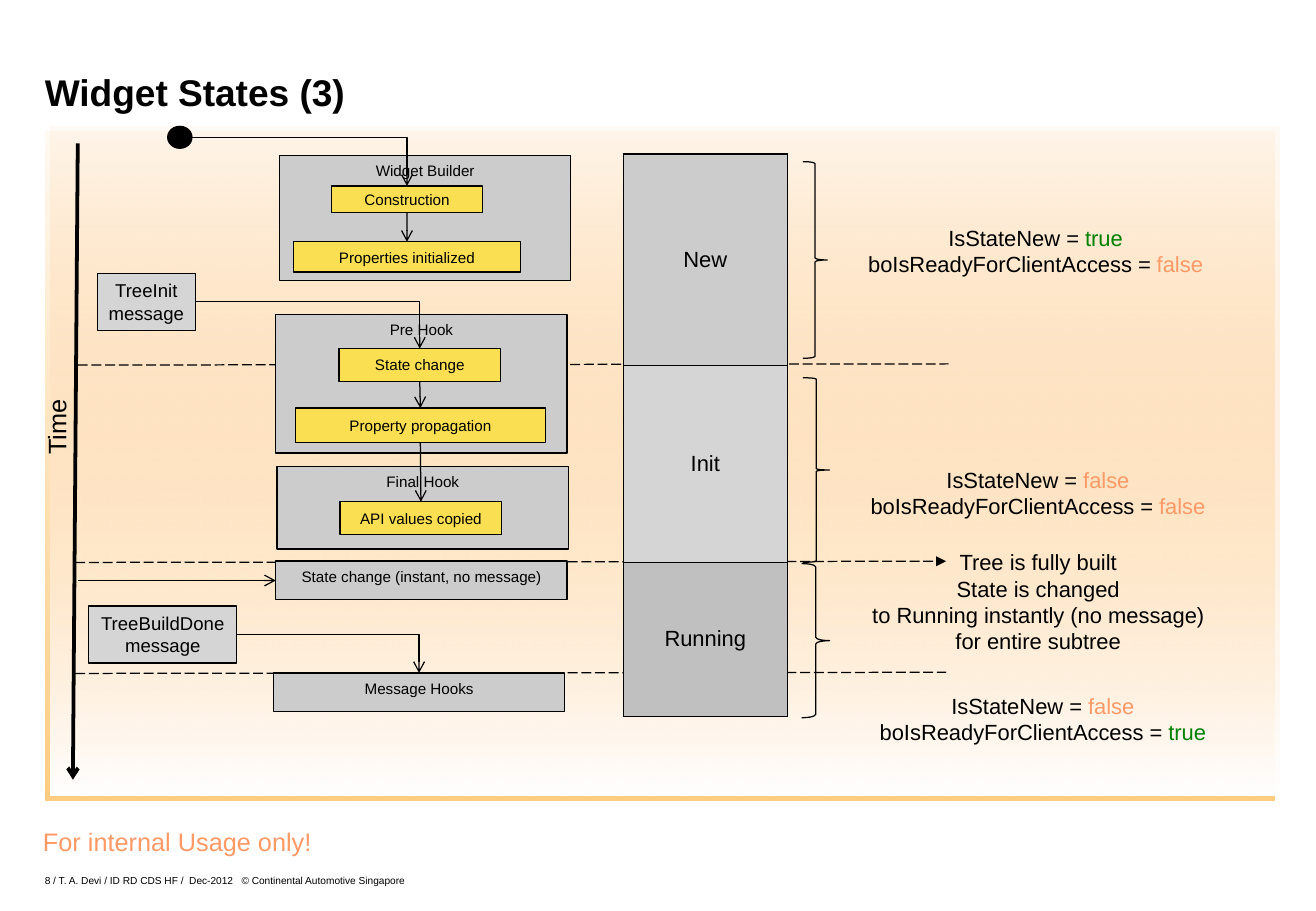
from lxml import etree
from pptx import Presentation
from pptx.dml.color import RGBColor
from pptx.enum.dml import MSO_LINE
from pptx.enum.shapes import MSO_CONNECTOR as LINK, MSO_SHAPE as SHAPE
from pptx.enum.text import MSO_ANCHOR as ANCHOR, PP_ALIGN as ALIGN
from pptx.oxml.ns import qn
from pptx.util import Pt

BLACK = RGBColor(0x00, 0x00, 0x00)
WHITE = RGBColor(0xFF, 0xFF, 0xFF)
GRAY = RGBColor(0xCC, 0xCC, 0xCC)
LIGHT = RGBColor(0xD5, 0xD5, 0xD5)
DARK = RGBColor(0xC0, 0xC0, 0xC0)
YELLOW = RGBColor(0xFB, 0xDF, 0x53)
PEACH = RGBColor(0xFF, 0xCC, 0x99)
ORANGE = RGBColor(0xFF, 0x99, 0x66)
GREEN = RGBColor(0x00, 0x80, 0x00)

deck = Presentation()
deck.slide_width, deck.slide_height = Pt(780), Pt(540)
slide = deck.slides.add_slide(deck.slide_layouts[6])
shapes = slide.shapes


def write(frame, text, size, color=BLACK, align=ALIGN.CENTER,
          anchor=ANCHOR.TOP, wrap=False):
    frame.text = text
    frame.word_wrap = wrap
    frame.vertical_anchor = anchor
    for para in frame.paragraphs:
        para.alignment = align
        for run in para.runs:
            run.font.name, run.font.size = "Arial", Pt(size)
            run.font.color.rgb = color


def link(start, end, head="arrow", kind=LINK.STRAIGHT, width=0.75, dash=None):
    line = shapes.add_connector(kind, *map(Pt, start + end))
    line.line.color.rgb = BLACK
    line.line.width = Pt(width)
    if dash:
        line.line.dash_style = dash
    props = line._element.spPr
    if head:
        etree.SubElement(props.find(qn("a:ln")), qn("a:tailEnd"), type=head)
    etree.SubElement(props, qn("a:effectLst"))
    if kind == LINK.ELBOW:
        props.find(qn("a:prstGeom")).set("prst", "bentConnector2")
    return line


# Fading panel with an orange edge
panel = shapes.add_shape(SHAPE.RECTANGLE, Pt(30.2), Pt(74.9), Pt(728), Pt(396.7))
panel.line.fill.background()
panel.fill.gradient()
panel.fill.gradient_angle = 270
for stop, color in zip(panel.fill.gradient_stops, (PEACH, WHITE)):
    stop.color.rgb = color
props = panel._element.spPr
first = props.xpath(".//a:gs/a:srgbClr")[0]
etree.SubElement(first, qn("a:alpha"), val="10000")
effect = etree.SubElement(props, qn("a:effectLst"))
shade = etree.SubElement(effect, qn("a:outerShdw"), dist="53340",
                         dir="8100000", algn="ctr", rotWithShape="0")
tint = etree.SubElement(shade, qn("a:srgbClr"), val="FF9900")
etree.SubElement(tint, qn("a:alpha"), val="50000")

# Dashed state borders
for x, y, head in ((44.6, 333.4, "triangle"), (46.1, 216.4, None), (44.6, 399.2, None)):
    link((x, y), (x + 516.2, y - 0.7), head, dash=MSO_LINE.LONG_DASH)

# Title, usage note and footer
title = shapes.add_textbox(Pt(26.6), Pt(18), Pt(727.2), Pt(49.7))
write(title.text_frame, "Widget States (3)", 22, align=ALIGN.LEFT,
      anchor=ANCHOR.BOTTOM, wrap=True)
title.text_frame.paragraphs[0].runs[0].font.bold = True
foot = shapes.add_textbox(Pt(26.6), Pt(514.1), Pt(247), Pt(11.5))
write(foot.text_frame,
      "8 / T. A. Devi / ID RD CDS HF /  Dec-2012   © Continental Automotive Singapore",
      6, align=ALIGN.LEFT, anchor=ANCHOR.BOTTOM, wrap=True)
for box, gap in ((title, 24.8), (foot, 5.5)):
    frame = box.text_frame
    frame.margin_left = frame.margin_right = frame.margin_top = frame.margin_bottom = 0
    frame.paragraphs[0].line_spacing = Pt(gap)
note = shapes.add_textbox(Pt(18), Pt(486), Pt(174.2), Pt(25.2))
write(note.text_frame, "For internal Usage only!", 15, ORANGE)

# Time axis
link((46.1, 85), (43.2, 462.2), width=2.25)
time = shapes.add_textbox(Pt(20.9), Pt(233.3), Pt(31.7), Pt(39.6))
write(time.text_frame, "Time", 15)
time.text_frame._txBody.bodyPr.set("vert", "vert270")

# Stages, steps and messages
boxes = {}
for text, x, y, w, h, fill, size in (
    ("Widget Builder", 165.6, 92.2, 172.8, 74.2, GRAY, 9),
    ("Pre Hook", 163.4, 186.5, 172.8, 82.1, GRAY, 9),
    ("Final Hook", 164.2, 276.5, 172.8, 49, GRAY, 9),
    ("State change (instant, no message)", 163.4, 332.6, 172.8, 23, GRAY, 9),
    ("Message Hooks", 162, 398.9, 172.8, 23, GRAY, 9),
    ("Construction", 196.6, 110.2, 89.3, 15.8, YELLOW, 9),
    ("Properties initialized", 173.9, 143.3, 134.6, 18, YELLOW, 9),
    ("State change", 200.9, 206.6, 95.8, 19.4, YELLOW, 9),
    ("Property propagation", 175, 241.9, 148.3, 20.2, YELLOW, 9),
    ("API values copied", 201.6, 297.4, 95.8, 19.4, YELLOW, 9),
    ("TreeInit\nmessage", 57.6, 162, 58.3, 33.8, LIGHT, 11),
    ("TreeBuildDone\nmessage", 52.6, 359.3, 87.8, 33.8, LIGHT, 11),
):
    box = shapes.add_shape(SHAPE.RECTANGLE, Pt(x), Pt(y), Pt(w), Pt(h))
    box.shadow.inherit = False
    box.fill.solid()
    box.fill.fore_color.rgb = fill
    box.line.color.rgb = BLACK
    box.line.width = Pt(0.75)
    write(box.text_frame, text, size,
          anchor=ANCHOR.MIDDLE if fill == YELLOW else ANCHOR.TOP)
    boxes[text.split("\n")[0]] = box

# Start dot
dot = shapes.add_shape(SHAPE.OVAL, Pt(99.4), Pt(74.9), Pt(14.4), Pt(13))
dot.shadow.inherit = False
dot.fill.solid()
dot.fill.fore_color.rgb = dot.line.color.rgb = BLACK
dot.line.width = Pt(0.75)

# Arrows between the boxes
for source, target in (
    ("Construction", "Properties initialized"),
    ("State change", "Property propagation"),
    ("Property propagation", "API values copied"),
):
    step = link((0, 0), (0, 0))
    step.begin_connect(boxes[source], 2)
    step.end_connect(boxes[target], 0)
for source, target in (("TreeInit", "State change"), ("TreeBuildDone", "Message Hooks")):
    bend = link((0, 0), (0, 0), kind=LINK.ELBOW)
    bend.begin_connect(boxes[source], 3)
    bend.end_connect(boxes[target], 0)
start = link((113.8, 81.4), (241.2, 110.2), kind=LINK.ELBOW)
start.end_connect(boxes["Construction"], 0)
instant = link((46.1, 344.1), (163.4, 344.1))
instant.end_connect(boxes["State change (instant, no message)"], 1)

# State table
table = shapes.add_table(3, 1, Pt(369.4), Pt(91.4), Pt(97.2), Pt(333.3)).table
table.first_row = table.horz_banding = False
states = (("New", 125.3, GRAY), ("Init", 116.6, LIGHT), ("Running", 91.4, DARK))
for row, (text, height, fill) in zip(table.rows, states):
    row.height = Pt(height)
    cell = row.cells[0]
    write(cell.text_frame, text, 13, wrap=True)
    cell.vertical_anchor = ANCHOR.MIDDLE
    props = cell._tc.get_or_add_tcPr()
    for side in ("lnL", "lnR", "lnT", "lnB"):
        edge = etree.SubElement(props, qn("a:" + side), w="12700")
        paint = etree.SubElement(edge, qn("a:solidFill"))
        etree.SubElement(paint, qn("a:srgbClr"), val=str(BLACK))
    cell.fill.solid()
    cell.fill.fore_color.rgb = fill

# Braces beside the states
for x, y, w, h, curve in (
    (475.9, 95.8, 14.4, 116.6, 0.08),
    (475.9, 223.9, 15.8, 109.4, 0.05),
    (475.2, 334.1, 16.6, 91.4, 0.12),
):
    brace = shapes.add_shape(SHAPE.RIGHT_BRACE, Pt(x), Pt(y), Pt(w), Pt(h))
    brace.shadow.inherit = False
    brace.fill.background()
    brace.line.color.rgb = BLACK
    brace.line.width = Pt(0.75)
    brace.adjustments[0] = curve

# Flag values of each state
for x, y, values in (
    (492.5, 129.6, ("true", "false")),
    (493.9, 272.9, ("false", "false")),
    (496.8, 406.8, ("false", "true")),
):
    flags = shapes.add_textbox(Pt(x), Pt(y), Pt(242.6), Pt(40))
    write(flags.text_frame, "IsStateNew = \nboIsReadyForClientAccess = ", 13, wrap=True)
    for para, value in zip(flags.text_frame.paragraphs, values):
        run = para.add_run()
        run.text = value
        run.font.name, run.font.size = "Arial", Pt(13)
        run.font.color.rgb = GREEN if value == "true" else ORANGE

# Remark on the change to Running
remark = shapes.add_textbox(Pt(509.8), Pt(321.8), Pt(211), Pt(69.1))
write(remark.text_frame, "Tree is fully built\nState is changed\n"
      "to Running instantly (no message)\nfor entire subtree", 13)

deck.save("out.pptx")
